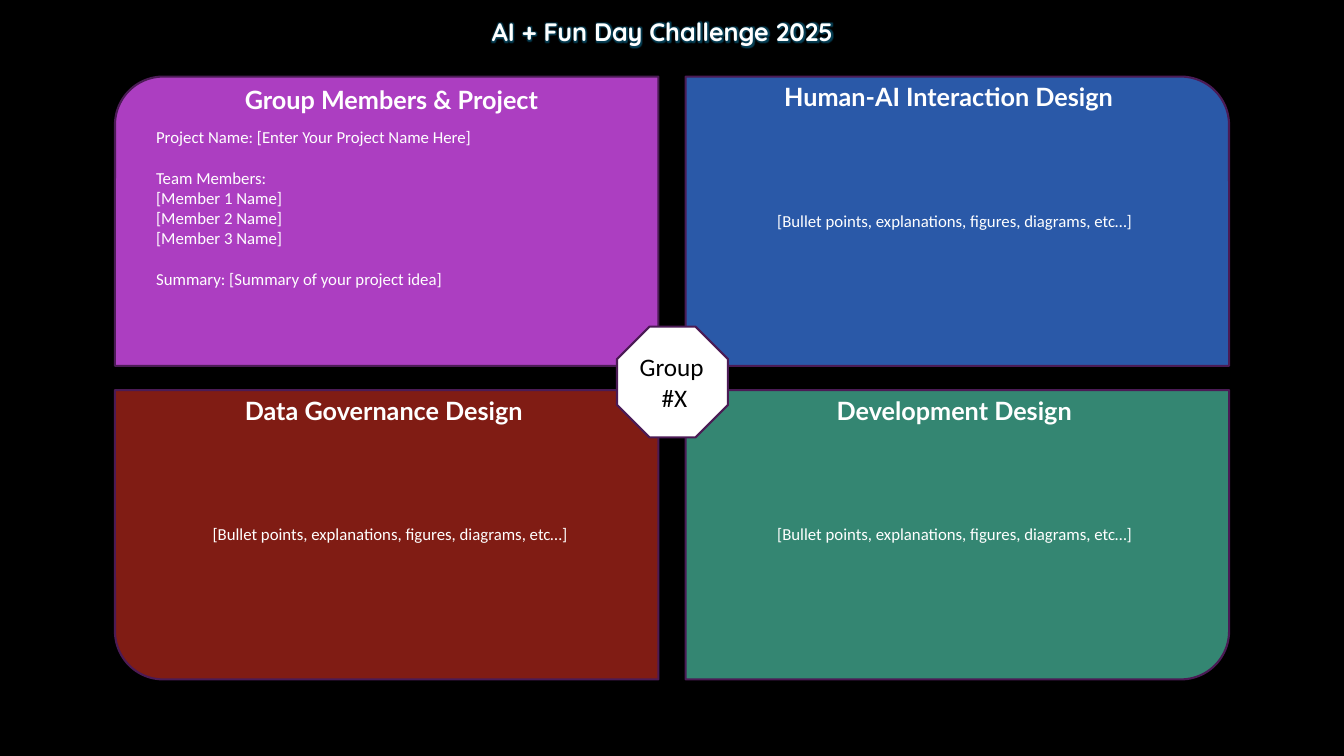
from lxml.etree import SubElement
from pptx import Presentation
from pptx.dml.color import RGBColor
from pptx.enum.shapes import MSO_SHAPE
from pptx.enum.text import MSO_AUTO_SIZE, PP_ALIGN
from pptx.oxml.ns import qn
from pptx.util import Inches, Pt

WHITE, BLACK, OUTLINE = "FFFFFF", "000000", "4B1B55"

# Two-by-two grid, in inches
GRID_LEFT, GRID_TOP = 1.14, 0.76
PANEL_W, PANEL_H = 5.39, 2.87
COLUMN_STEP, ROW_STEP = PANEL_W + 0.27, PANEL_H + 0.24


def paint(shape, color):
    shape.shadow.inherit = False
    shape.fill.solid()
    shape.fill.fore_color.rgb = RGBColor.from_string(color)
    shape.line.color.rgb = RGBColor.from_string(OUTLINE)
    shape.line.width = Pt(1.5)


def write(left, top, width, height, text, size, font, color=WHITE, bold=None, align=None):
    box = slide.shapes.add_textbox(Inches(left), Inches(top), Inches(width), Inches(height))
    frame = box.text_frame
    frame.text = text
    frame.word_wrap = False
    frame.auto_size = MSO_AUTO_SIZE.SHAPE_TO_FIT_TEXT
    for paragraph in frame.paragraphs:
        paragraph.alignment = align
        for run in paragraph.runs:
            run.font.size = Pt(size)
            run.font.name = font
            run.font.bold = bold
            run.font.color.rgb = RGBColor.from_string(color)
    return frame


deck = Presentation()
deck.slide_width, deck.slide_height = Inches(13.33), Inches(7.5)
slide = deck.slides.add_slide(deck.slide_layouts[6])
slide.background.fill.solid()
slide.background.fill.fore_color.rgb = RGBColor.from_string(BLACK)

# Panels: column, row, colour, heading, heading box (left, top offset, width), note left
hint = "[Bullet points, explanations, figures, diagrams, etc…]"
panels = [
    (0, 0, "AC3EC1", "Group Members & Project", (2.33, 0.03, 3.14), None),
    (1, 0, "2A59A8", "Human-AI Interaction Design", (7.68, 0, 3.63), 7.61),
    (0, 1, "801C14", "Data Governance Design", (2.33, 0, 3.03), 2.01),
    (1, 1, "348672", "Development Design", (8.2, 0, 2.59), 7.61),
]
for column, row, color, heading, (heading_left, drop, heading_w), hint_left in panels:
    top = GRID_TOP + row * ROW_STEP
    panel = slide.shapes.add_shape(
        MSO_SHAPE.ROUND_1_RECTANGLE,
        Inches(GRID_LEFT + column * COLUMN_STEP), Inches(top), Inches(PANEL_W), Inches(PANEL_H))
    paint(panel, color)
    # Turn the rounded corner to the outside of the grid
    panel.rotation = 180 * row
    if column == row:
        panel.element.spPr.find(qn("a:xfrm")).set("flipH", "1")
    write(heading_left, top + drop, heading_w, 0.4, heading, 18, "Lato", bold=True)
    if hint_left:
        write(hint_left, top + 1.28, 3.77, 0.3, hint, 12, "Calibri")

# Project details, with one line of space before each new block
details = write(1.45, 1.21, 3.37, 1.72, "\n".join([
    "Project Name: [Enter Your Project Name Here]",
    "Team Members:",
    "[Member 1 Name]",
    "[Member 2 Name]",
    "[Member 3 Name]",
    "Summary: [Summary of your project idea]",
]), 12, "Calibri")
for block_start in (1, 5):
    details.paragraphs[block_start].space_before = Pt(14.6)

# Group badge in the centre
badge = slide.shapes.add_shape(
    MSO_SHAPE.OCTAGON, Inches(6.12), Inches(3.24), Inches(1.1), Inches(1.1))
paint(badge, WHITE)
write(6.24, 3.44, 0.9, 0.71, "Group \n#X", 18, "Calibri", BLACK, align=PP_ALIGN.CENTER)

# Glowing title
title = write(4.78, 0.11, 3.78, 0.4, "AI + Fun Day Challenge 2025", 18, "Quicksand", bold=True)
title_font = title.paragraphs[0].runs[0].font
effects = SubElement(title_font.fill._xPr, qn("a:effectLst"))
glow = SubElement(effects, qn("a:glow"), rad=str(Pt(5)))
glow_color = SubElement(glow, qn("a:srgbClr"), val="0F9ED5")
SubElement(glow_color, qn("a:alpha"), val="40000")
title_font.fill._xPr.find(qn("a:solidFill")).addnext(effects)

deck.save("out.pptx")
